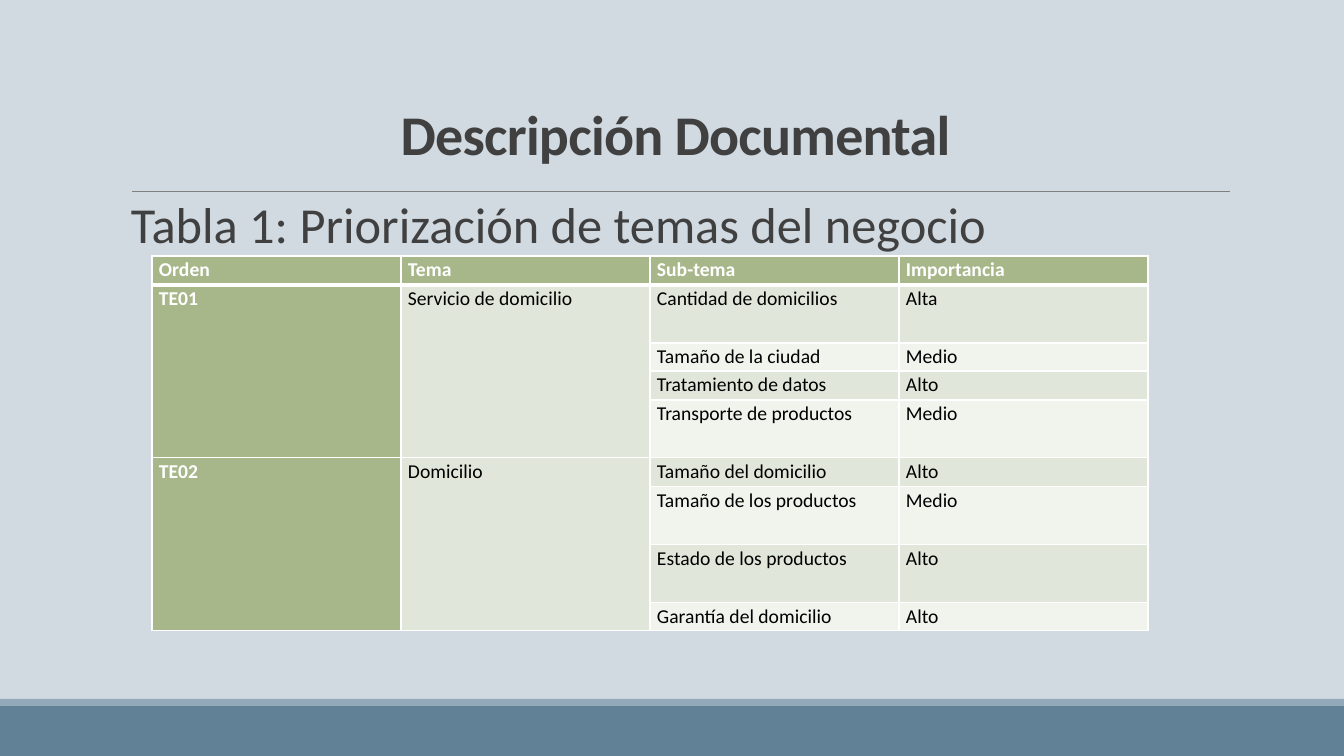
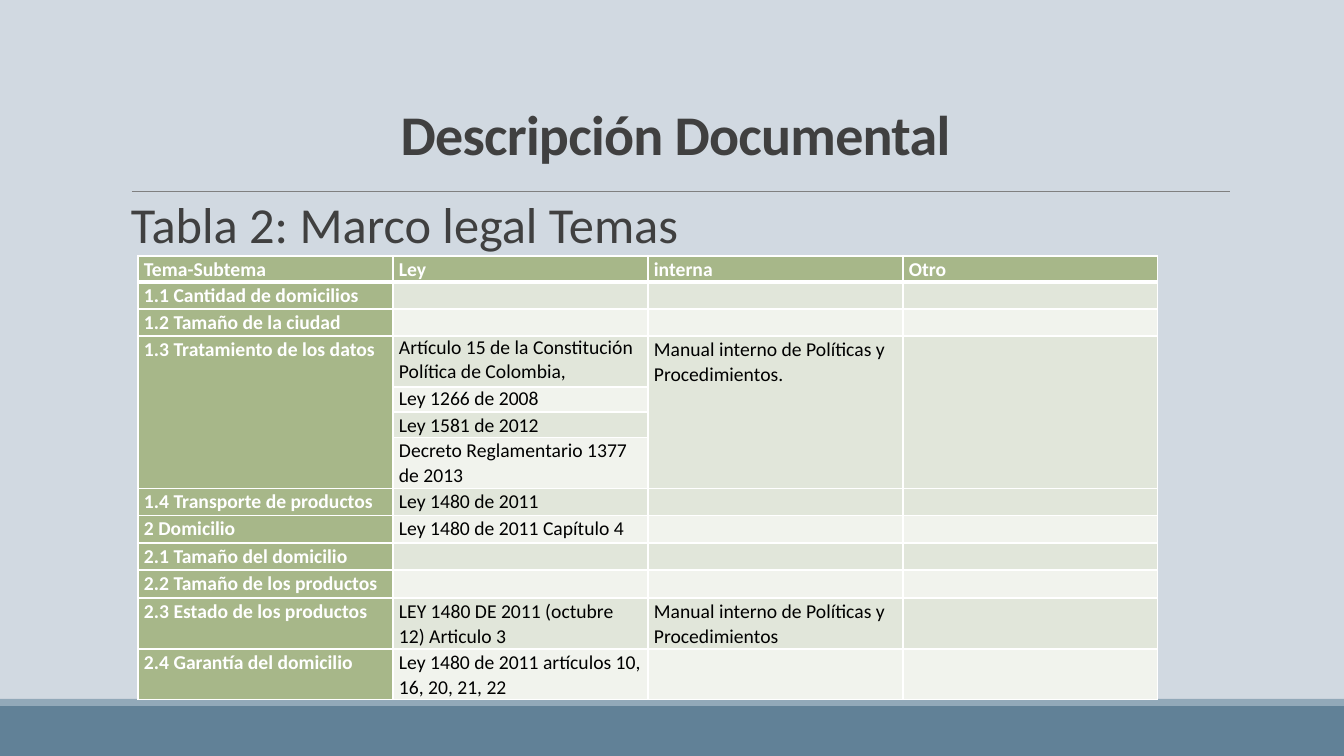
import pptx
import pptx.util
from lxml import etree
from pptx.dml.color import RGBColor
from pptx.enum.shapes import MSO_CONNECTOR, MSO_SHAPE
from pptx.enum.text import MSO_ANCHOR, MSO_AUTO_SIZE, PP_ALIGN
from pptx.oxml.ns import qn

SCALE = 914400 / 100.8
FONT = "Calibri"
SKY = RGBColor(0xD1, 0xD9, 0xE1)
STEEL = RGBColor(0x61, 0x81, 0x97)
MIST = RGBColor(0x92, 0xA9, 0xB9)
RULE_GRAY = RGBColor(0x80, 0x80, 0x80)
CHARCOAL = RGBColor(0x40, 0x40, 0x40)
GREEN = RGBColor(0xA7, 0xB7, 0x89)
BANDS = (RGBColor(0xF1, 0xF3, 0xED), RGBColor(0xE1, 0xE6, 0xDA))
WHITE = RGBColor(0xFF, 0xFF, 0xFF)
BLACK = RGBColor(0x00, 0x00, 0x00)

SPAN_ROWS = 4
TABLES = [
    {
        "caption": "Tabla 1: Priorización de temas del negocio",
        "left": 152, "column": 249, "margin": 7,
        "heights": [29, 58, 28, 29, 58, 29, 58, 58, 28],
        "spans": [(1, 0), (1, 1), (5, 0), (5, 1)],
        "single_spaced": [],
        "rows": [
            ("Orden", "Tema", "Sub-tema", "Importancia"),
            ("TE01", "Servicio de domicilio", "Cantidad de domicilios", "Alta"),
            ("", "", "Tamaño de la ciudad", "Medio"),
            ("", "", "Tratamiento de datos", "Alto"),
            ("", "", "Transporte de productos", "Medio"),
            ("TE02", "Domicilio", "Tamaño del domicilio", "Alto"),
            ("", "", "Tamaño de los productos", "Medio"),
            ("", "", "Estado de los productos", "Alto"),
            ("", "", "Garantía del domicilio", "Alto"),
        ],
    },
    {
        "caption": "Tabla 2: Marco legal Temas",
        "left": 138, "column": 255, "margin": 6,
        "heights": [26, 27, 27, 51, 25, 25, 51, 27, 28, 27, 28, 51, 50],
        "spans": [(3, 0), (3, 2), (3, 3)],
        "single_spaced": [(3, 1), (4, 1)],
        "rows": [
            ("Tema-Subtema", "Ley", "interna", "Otro"),
            ("1.1 Cantidad de domicilios", "", "", ""),
            ("1.2 Tamaño de la ciudad", "", "", ""),
            ("1.3 Tratamiento de los datos",
             "Artículo 15 de la Constitución Política de Colombia,",
             "Manual interno de Políticas y Procedimientos.", ""),
            ("", "Ley 1266 de 2008", "", ""),
            ("", "Ley 1581 de 2012", "", ""),
            ("", "Decreto Reglamentario 1377 de 2013", "", ""),
            ("1.4 Transporte de productos", "Ley 1480 de 2011", "", ""),
            ("2 Domicilio", "Ley 1480 de 2011 Capítulo 4", "", ""),
            ("2.1 Tamaño del domicilio", "", "", ""),
            ("2.2 Tamaño de los productos", "", "", ""),
            ("2.3 Estado de los productos",
             "LEY 1480 DE 2011 (octubre 12) Articulo 3",
             "Manual interno de Políticas y Procedimientos", ""),
            ("2.4 Garantía del domicilio",
             "Ley 1480 de 2011 artículos 10, 16, 20, 21, 22", "", ""),
        ],
    },
]


def emu(*pixels):
    """Turn pixel lengths into a list of EMU lengths."""
    return [pptx.util.Emu(round(pixel * SCALE)) for pixel in pixels]


def add_borders(cell, top, bottom):
    """Give a cell white borders, one point wide at the sides."""
    properties = cell._tc.get_or_add_tcPr()
    for side, points in (("L", 1), ("R", 1), ("T", top), ("B", bottom)):
        line = etree.SubElement(properties, qn("a:ln" + side), w=str(pptx.util.Pt(points)))
        fill = etree.SubElement(line, qn("a:solidFill"))
        etree.SubElement(fill, qn("a:srgbClr"), val=str(WHITE))


deck = pptx.Presentation()
deck.slide_width, deck.slide_height = emu(1344, 756)
background = deck.slide_master.background.fill
background.solid()
background.fore_color.rgb = SKY

layout = deck.slide_layouts.get_by_name("Title Only")
for holder in list(layout.placeholders)[1:]:
    holder.element.getparent().remove(holder.element)
pages = [deck.slides.add_slide(layout) for _ in TABLES]

# Shared bands and rule, moved to the layout
shapes = pages[0].shapes
decorations = []
for top, height, color in ((706, 50, STEEL), (699, 7, MIST)):
    band = shapes.add_shape(MSO_SHAPE.RECTANGLE, *emu(0, top, 1344, height))
    band.shadow.inherit = False
    band.fill.solid()
    band.fill.fore_color.rgb = color
    band.line.fill.background()
    decorations.append(band)
rule = shapes.add_connector(MSO_CONNECTOR.STRAIGHT, *emu(132, 191, 1230, 191))
rule.line.color.rgb = RULE_GRAY
rule.line.width = pptx.util.Pt(0.5)
etree.SubElement(rule.element.spPr, qn("a:effectLst"))
decorations.append(rule)
for decoration in decorations:
    layout.shapes.element.append(decoration.element)

for page, content in zip(pages, TABLES):
    title = page.shapes.title
    title.left, title.top, title.width, title.height = emu(121, 64, 1109, 108)
    title.text_frame.text = "Descripción Documental"
    title.text_frame.auto_size = MSO_AUTO_SIZE.NONE
    title.text_frame.vertical_anchor = MSO_ANCHOR.BOTTOM
    caption = page.shapes.add_textbox(*emu(121, 195, 1153, 481))
    caption.text_frame.text = content["caption"]
    caption.text_frame.word_wrap = True
    caption.text_frame.margin_left, caption.text_frame.margin_right = emu(10, 0)
    for box, size, bold, spacing, align in (
        (title, 40, True, 0.85, PP_ALIGN.CENTER),
        (caption, 36, False, 0.9, PP_ALIGN.LEFT),
    ):
        para = box.text_frame.paragraphs[0]
        para.alignment = align
        para.line_spacing = spacing
        para.font.name = FONT
        para.font.size = pptx.util.Pt(size)
        para.font.bold = bold
        para.font.color.rgb = CHARCOAL
    title.element.find(".//" + qn("a:defRPr")).set("spc", "-50")

    rows, heights = content["rows"], content["heights"]
    columns = len(rows[0])
    table = page.shapes.add_table(
        len(rows), columns,
        *emu(content["left"], 256, columns * content["column"], sum(heights)),
    ).table
    table.horz_banding = False
    for column in table.columns:
        column.width = emu(content["column"])[0]
    for r, (texts, height) in enumerate(zip(rows, heights)):
        table.rows[r].height = emu(height)[0]
        for c, text in enumerate(texts):
            cell = table.cell(r, c)
            heading = r == 0 or c == 0
            add_borders(cell, top=3 if r == 1 else 1, bottom=3 if r == 0 else 1)
            cell.fill.solid()
            cell.fill.fore_color.rgb = GREEN if heading else BANDS[r % 2]
            cell.margin_left, cell.margin_right = emu(content["margin"]) * 2
            cell.margin_top = cell.margin_bottom = 0
            cell.text = text
            para = cell.text_frame.paragraphs[0]
            para.line_spacing = 1.0 if (r, c) in content["single_spaced"] else 1.07
            para.font.name = FONT
            para.font.size = pptx.util.Pt(14)
            para.font.bold = heading
            para.font.color.rgb = WHITE if heading else BLACK
    for r, c in content["spans"]:
        table.cell(r, c).merge(table.cell(r + SPAN_ROWS - 1, c))

deck.save("out.pptx")
